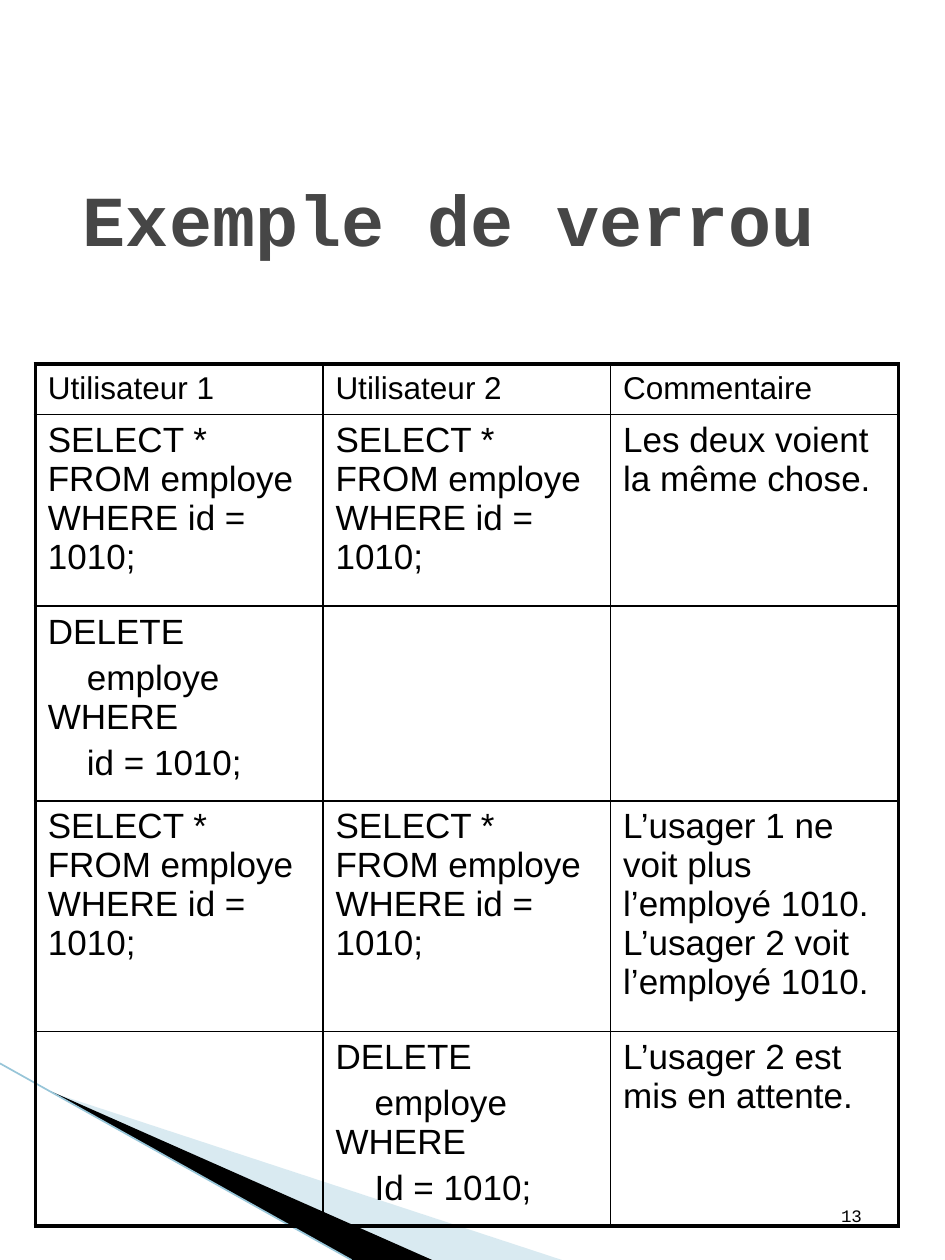
from lxml.etree import SubElement
from pptx import Presentation
from pptx.dml.color import RGBColor
from pptx.enum.shapes import MSO_CONNECTOR
from pptx.enum.text import MSO_ANCHOR, PP_ALIGN
from pptx.oxml.ns import qn
from pptx.util import Inches, Pt

BLACK = "000000"
THIN, THICK = 1, 2.25
SELECT = ["SELECT * FROM employe WHERE id = 1010;"]
HEADER = ["Utilisateur 1", "Utilisateur 2", "Commentaire"]
ROW_HEIGHTS = [0.38, 1.52, 1.45, 1.83, 1.45]


def delete_lines(condition):
    return ["DELETE", "\temploye WHERE", f"\t{condition}"]


ROWS = [
    [[text] for text in HEADER],
    [SELECT, SELECT, ["Les deux voient la même chose."]],
    [delete_lines("id = 1010;"), [], []],
    [SELECT, SELECT, ["L’usager 1 ne voit plus l’employé 1010. "
                      "L’usager 2 voit l’employé 1010."]],
    [[], delete_lines("Id = 1010;"), ["L’usager 2 est mis en attente."]],
]


def rgb(value):
    return RGBColor.from_string(value)


def write(tf, lines, size=20, font="Arial", color=BLACK, bold=False,
          align=PP_ALIGN.LEFT, before=0):
    for i, line in enumerate(lines):
        p = tf.paragraphs[0] if i == 0 else tf.add_paragraph()
        p.alignment = align
        p.space_before = Pt(before)
        if line.startswith("\t"):
            pPr = p._p.get_or_add_pPr()
            pPr.set("marL", "0")
            pPr.set("indent", str(Inches(0.31)))
        r = p.add_run()
        r.text = line.strip()
        r.font.size = Pt(size)
        r.font.name = font
        r.font.bold = bold
        r.font.color.rgb = rgb(color)


def add_text(s, box, text, anchor, **fmt):
    tf = s.shapes.add_textbox(*map(Inches, box)).text_frame
    tf.word_wrap = True
    tf.vertical_anchor = anchor
    write(tf, [text], **fmt)


def add_wedge(s, points, color, alpha=100):
    pts = [(Inches(x), Inches(y)) for x, y in points]
    fb = s.shapes.build_freeform(*pts[0], scale=1)
    fb.add_line_segments(pts[1:], close=True)
    sp = fb.convert_to_shape()
    sp.shadow.inherit = False
    sp.line.fill.background()
    sp.fill.solid()
    sp.fill.fore_color.rgb = rgb(color)
    if alpha < 100:
        clr = sp._element.spPr.find(".//" + qn("a:srgbClr"))
        SubElement(clr, qn("a:alpha"), val=str(alpha * 1000))


def add_line(s, start, end, color, width):
    sp = s.shapes.add_connector(MSO_CONNECTOR.STRAIGHT,
                                *map(Inches, start + end))
    sp.line.color.rgb = rgb(color)
    sp.line.width = Pt(width)
    SubElement(sp._element.spPr, qn("a:effectLst"))


def set_borders(cell, widths):
    tcPr = cell._tc.get_or_add_tcPr()
    for i, (side, width) in enumerate(zip("LRTB", widths)):
        ln = tcPr.makeelement(qn(f"a:ln{side}"), {"w": str(Pt(width))})
        fill = SubElement(ln, qn("a:solidFill"))
        SubElement(fill, qn("a:srgbClr"), val=BLACK)
        tcPr.insert(i, ln)


def add_lock_table(s):
    n_rows, n_cols = len(ROWS), len(HEADER)
    frame = s.shapes.add_table(n_rows, n_cols, Inches(0.28), Inches(2.89),
                               Inches(6.85), Inches(sum(ROW_HEIGHTS)))
    table = frame.table
    table.first_row = False
    table.horz_banding = False
    for row, height in zip(table.rows, ROW_HEIGHTS):
        row.height = Inches(height)
    for i, row in enumerate(ROWS):
        for j, lines in enumerate(row):
            cell = table.cell(i, j)
            cell.fill.background()
            write(cell.text_frame, lines, size=18 if i == 0 else 20, before=4)
            edges = (j == 0, j == n_cols - 1, i == 0, i == n_rows - 1)
            set_borders(cell, [THICK if edge else THIN for edge in edges])


def main():
    prs = Presentation()
    prs.slide_width, prs.slide_height = Inches(7.5), Inches(10)
    s = prs.slides.add_slide(prs.slide_layouts[6])
    add_wedge(s, [(0.41, 8.67), (4.46, 10), (3.42, 10)], "A0CBDC", alpha=40)
    add_wedge(s, [(0.4, 8.66), (3.43, 10), (2.79, 10)], BLACK)
    add_line(s, (0, 8.44), (2.79, 10), "97C5D8", 0.95)
    add_text(s, (0.56, 0.89, 6.38, 1.67), "Exemple de verrou",
             MSO_ANCHOR.MIDDLE, size=41, font="Courier New",
             color="464646", bold=True)
    add_lock_table(s)
    add_text(s, (5.38, 9.11, 1.56, 0.67), "13", MSO_ANCHOR.BOTTOM,
             size=10, font="Courier New", align=PP_ALIGN.RIGHT)
    prs.save("out.pptx")


main()
